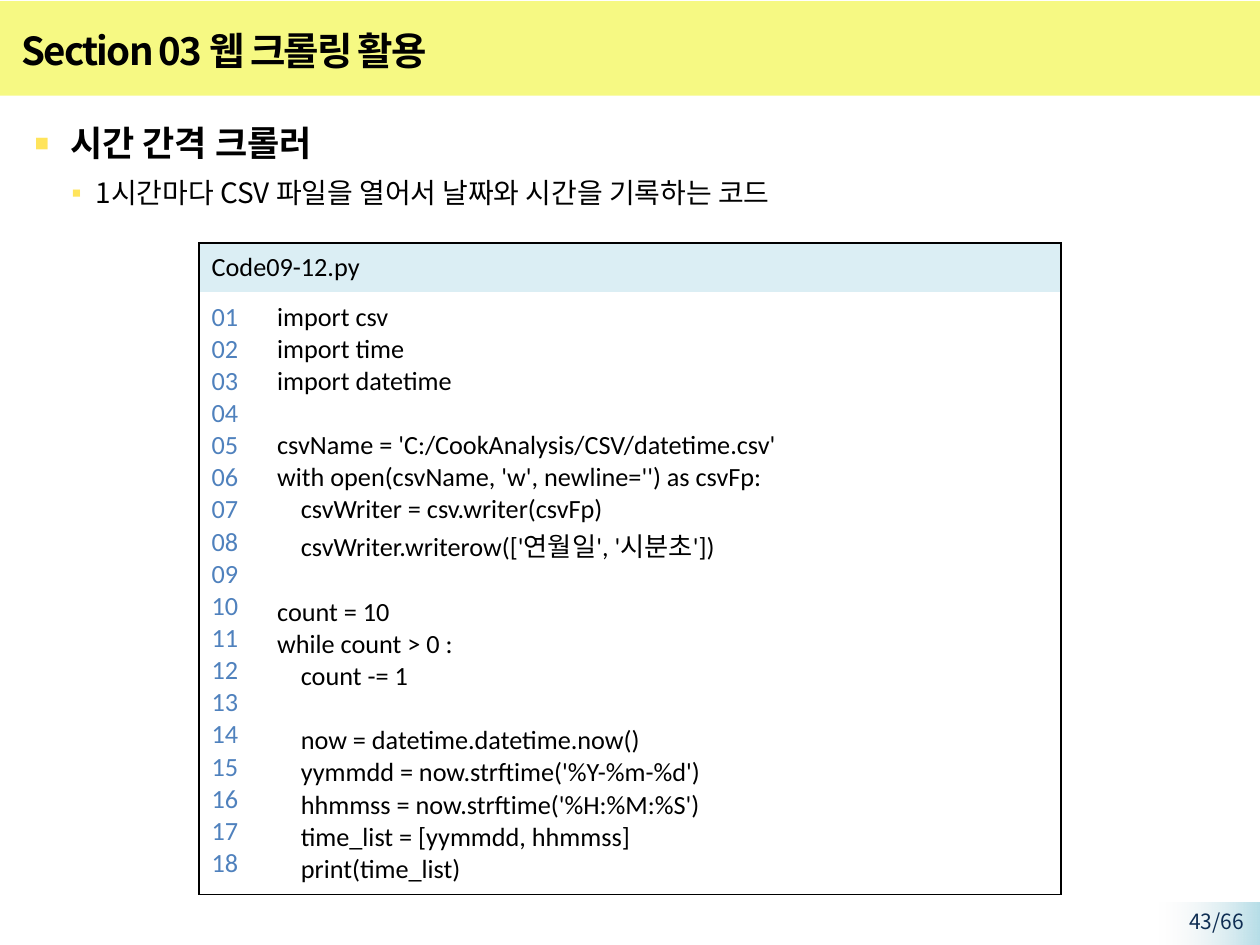
"""Build the slide on a crawler that runs at timed intervals."""
from dataclasses import dataclass

from lxml.etree import SubElement
from pptx import Presentation
from pptx.dml.color import RGBColor
from pptx.enum.shapes import MSO_SHAPE
from pptx.enum.text import MSO_ANCHOR, PP_ALIGN
from pptx.oxml.ns import qn
from pptx.util import Inches, Pt

SANS = "Noto Sans CJK KR"
LATIN = "Calibri"
PLAIN = "{2D5ABB26-0587-4C30-8999-92F81FD0307C}"
ROWS = (0.38, 4.78)
COLS = (0.52, 6.32)
CODE = """import csv
import time
import datetime

csvName = 'C:/CookAnalysis/CSV/datetime.csv'
with open(csvName, 'w', newline='') as csvFp:
    csvWriter = csv.writer(csvFp)
    csvWriter.writerow(['연월일', '시분초'])

count = 10
while count > 0 :
    count -= 1

    now = datetime.datetime.now()
    yymmdd = now.strftime('%Y-%m-%d')
    hhmmss = now.strftime('%H:%M:%S')
    time_list = [yymmdd, hhmmss]
    print(time_list)"""


@dataclass
class Point:
    text: str
    size: int
    bold: bool
    left: float
    hang: float
    scale: int
    gap: float


@dataclass
class Part:
    row: int
    col: int
    text: str
    color: str
    sides: str
    fill: str = ""


POINTS = [
    Point("시간 간격 크롤러", 20, True, 0.39, 0.29, 130, 0),
    Point("1시간마다 CSV 파일을 열어서 날짜와 시간을 기록하는 코드", 16, False, 0.59, 0.19, 100, 3.2),
]
NUMS = "\n".join(f"{n:02d}" for n in range(1, len(CODE.split("\n")) + 1))
PARTS = [
    Part(0, 0, "Code09-12.py", "000000", "LRT", "DBEEF4"),
    Part(0, 1, "", "000000", "RT", "DBEEF4"),
    Part(1, 0, NUMS, "4F81BD", "LB"),
    Part(1, 1, CODE, "000000", "RB"),
]


def paint(target, color: str) -> None:
    """Give a fill or line fill one solid colour."""
    target.solid()
    target.fore_color.rgb = RGBColor.from_string(color)


def style(para, size: float, color: str, face: str = SANS, bold: bool = False) -> None:
    """Format the runs of a paragraph, or the empty line it makes."""
    for run in para.runs:
        font = run.font
        font.size, font.bold, font.name = Pt(size), bold, face
        paint(font.fill, color)
        font._element.set("kern", "0")
        SubElement(font._element, qn("a:ea"), typeface=SANS)
    if not para.runs:
        SubElement(para._p, qn("a:endParaRPr"), sz=str(size * 100))


def add_box(slide, left: float, top: float, width: float, height: float):
    """Add a wrapping text box and return its frame."""
    box = slide.shapes.add_textbox(Inches(left), Inches(top), Inches(width), Inches(height))
    box.text_frame.word_wrap = True
    return box.text_frame


def add_rect(slide, left: float, top: float, width: float, height: float):
    """Add a rectangle with no line or shadow."""
    rect = slide.shapes.add_shape(
        MSO_SHAPE.RECTANGLE, Inches(left), Inches(top), Inches(width), Inches(height))
    rect.shadow.inherit = False
    rect.line.fill.background()
    return rect


def add_title(slide) -> None:
    """Place the title over its band."""
    band = add_rect(slide, 0, 0.01, 10, 0.75)
    paint(band.fill, "F6F983")
    title = slide.shapes.title
    slide.shapes._spTree.append(title._element)
    title.left, title.top = Inches(0.07), Inches(0.14)
    title.width, title.height = Inches(8.51), Inches(0.52)
    frame = title.text_frame
    frame.text = "Section 03 웹 크롤링 활용"
    frame.vertical_anchor = MSO_ANCHOR.MIDDLE
    para = frame.paragraphs[0]
    para.alignment = PP_ALIGN.LEFT
    style(para, 22, "000000", bold=True)
    para.runs[0].font._element.set("spc", "-100")


def add_points(slide) -> None:
    """Write the bulleted points."""
    frame = add_box(slide, 0.07, 0.85, 9.8, 1)
    frame.text = "\n".join(point.text for point in POINTS)
    for level, (para, point) in enumerate(zip(frame.paragraphs, POINTS)):
        para.level = level
        props = para._p.get_or_add_pPr()
        props.set("marL", str(Inches(point.left)))
        props.set("indent", str(-Inches(point.hang)))
        tint = SubElement(props, qn("a:buClr"))
        SubElement(tint, qn("a:srgbClr"), val="FFE45B")
        SubElement(props, qn("a:buSzPct"), val=str(point.scale * 1000))
        SubElement(props, qn("a:buFont"), typeface=LATIN)
        SubElement(props, qn("a:buChar"), char="▪")
        para.line_spacing = 1.2
        para.space_before = Pt(point.gap)
        style(para, point.size, "000000", bold=point.bold)


def fill_cell(cell, part: Part) -> None:
    """Write one table cell with its borders and fill."""
    cell.margin_left = cell.margin_right = Inches(0.1)
    cell.margin_top = cell.margin_bottom = Inches(0.07)
    props = cell._tc.get_or_add_tcPr()
    for side in part.sides:
        line = SubElement(props, qn(f"a:ln{side}"), w=str(Pt(1)))
        solid = SubElement(line, qn("a:solidFill"))
        SubElement(solid, qn("a:srgbClr"), val="000000")
    if part.fill:
        paint(cell.fill, part.fill)
    else:
        cell.fill.background()
    if part.text:
        cell.text_frame.text = part.text
        for para in cell.text_frame.paragraphs:
            style(para, 15, part.color, LATIN)


def add_code(slide) -> None:
    """Add the table of numbered code."""
    table = slide.shapes.add_table(
        2, 2, Inches(1.58), Inches(1.93), Inches(sum(COLS)), Inches(sum(ROWS))).table
    table.first_row = table.horz_banding = False
    table._tbl.tblPr.find(qn("a:tableStyleId")).text = PLAIN
    for col, width in zip(table.columns, COLS):
        col.width = Inches(width)
    for row, height in zip(table.rows, ROWS):
        row.height = Inches(height)
    table.cell(0, 0).merge(table.cell(0, 1))
    for part in PARTS:
        fill_cell(table.cell(part.row, part.col), part)


def add_page(slide) -> None:
    """Add the page number on its fading patch."""
    fill = add_rect(slide, 9.2, 7.16, 0.8, 0.34).fill
    fill.gradient()
    fill.gradient_angle = 180
    for stop, color in zip(fill.gradient_stops, ("B7DEE8", "F2F2F2")):
        stop.color.rgb = RGBColor.from_string(color)
    last = fill.gradient_stops[1]._gs
    SubElement(last[0], qn("a:alpha"), val="0")
    frame = add_box(slide, 9.05, 7.16, 0.92, 0.23)
    frame.text = "43/66"
    para = frame.paragraphs[0]
    para.alignment = PP_ALIGN.RIGHT
    style(para, 12, "0F2E53")


def main() -> None:
    """Build and save the deck."""
    deck = Presentation()
    deck.slide_width, deck.slide_height = Inches(10), Inches(7.5)
    slide = deck.slides.add_slide(deck.slide_layouts[5])
    add_title(slide)
    add_points(slide)
    add_code(slide)
    add_page(slide)
    deck.save("out.pptx")


if __name__ == "__main__":
    main()
